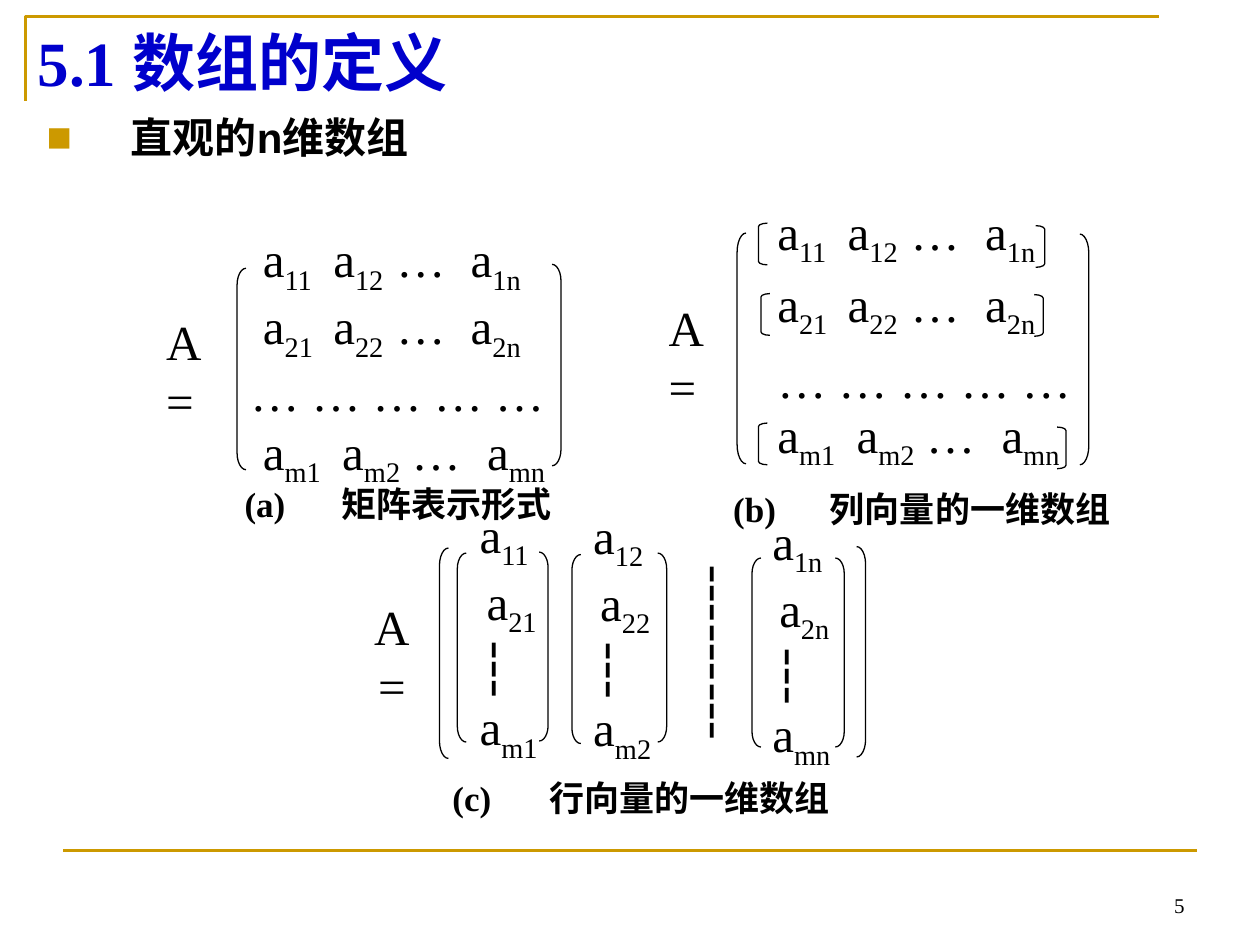
import dataclasses

import pptx
import pptx.dml.color
import pptx.enum.shapes
import pptx.enum.text
import pptx.oxml
import pptx.oxml.ns
import pptx.util

Cm = pptx.util.Cm
SHAPES = pptx.enum.shapes.MSO_SHAPE
ALIGN = pptx.enum.text.PP_ALIGN
ANCHOR = pptx.enum.text.MSO_ANCHOR


@dataclasses.dataclass(frozen=True)
class Theme:
    """Colours, fonts and type sizes of the slide."""
    ink: str = "000000"
    heading: str = "0000CC"
    gold: str = "CC9900"
    serif: str = "Times New Roman"
    sans: str = "Arial"
    title: int = 36
    body: int = 24
    formula: int = 28
    caption: int = 20
    number: int = 12
    rule: float = 1.5
    bracket: float = 0.75


THEME = Theme()
BRACKET_WIDTH = 0.18
ROW_TABS = (1.42, 2.69, 4.19)
LAST_ROW_TABS = (1.6, 3, 4.52)
ELLIPSIS_ROW = "… … … … …"


def rgb(colour):
    """Turn a hex string into a colour."""
    return pptx.dml.color.RGBColor.from_string(colour)


def add_xml(parent, markup):
    """Append a DrawingML element to a parent element."""
    opening = markup.replace(" ", f" {pptx.oxml.ns.nsdecls('a')} ", 1) if " " in markup else (
        markup.replace("/>", f" {pptx.oxml.ns.nsdecls('a')}/>"))
    element = pptx.oxml.parse_xml(opening)
    parent.append(element)
    return element


def add_tabs(paragraph, stops):
    """Give a paragraph left tab stops in centimetres."""
    if stops:
        tab_list = add_xml(paragraph._p.get_or_add_pPr(), "<a:tabLst/>")
        for stop in stops:
            add_xml(tab_list, f'<a:tab pos="{Cm(stop)}" algn="l"/>')


def add_run(paragraph, text, size, font=THEME.serif, bold=False, colour=THEME.ink, sub=False):
    """Add one formatted run, lowered if it is a subscript."""
    run = paragraph.add_run()
    run.text = text
    run.font.size = pptx.util.Pt(size)
    run.font.name = font
    run.font.bold = bold
    run.font.color.rgb = rgb(colour)
    if sub:
        run._r.get_or_add_rPr().set("baseline", "-25000")


def add_frame(slide, left, top, width, height, anchor=ANCHOR.MIDDLE, wrap=True, inset=0.25, right=0.25):
    """Add an empty text box and return its text frame."""
    box = slide.shapes.add_textbox(Cm(left), Cm(top), Cm(width), Cm(height))
    frame = box.text_frame
    frame.word_wrap = wrap
    frame.vertical_anchor = anchor
    frame.margin_left, frame.margin_right = Cm(inset), Cm(right)
    return frame


def add_formula(slide, left, top, width, height, rows, align=ALIGN.LEFT, wrap=True):
    """Add lines of terms, each given as text and its tab stops."""
    frame = add_frame(slide, left, top, width, height, wrap=wrap, right=0 if wrap else 0.25)
    for index, (text, stops) in enumerate(rows):
        line = frame.add_paragraph() if index else frame.paragraphs[0]
        line.alignment = align
        add_tabs(line, stops)
        for position, term in enumerate(text.split("\t")):
            symbol, _, subscript = term.partition("_")
            add_run(line, "\t" * (position > 0) + symbol, THEME.formula)
            if subscript:
                add_run(line, subscript, THEME.formula, sub=True)


def add_bracket(slide, kind, left, top, height):
    """Add one rounded bracket whose corners scale with its height."""
    bracket = slide.shapes.add_shape(kind, Cm(left), Cm(top), Cm(BRACKET_WIDTH), Cm(height))
    bracket.adjustments[0] = 0.083 * height / BRACKET_WIDTH
    bracket.shadow.inherit = False
    bracket.fill.background()
    bracket.line.color.rgb = rgb(THEME.ink)
    bracket.line.width = pptx.util.Pt(THEME.bracket)


def add_brackets(slide, opening, closing, height):
    """Add a pair of brackets at two left-top positions."""
    add_bracket(slide, SHAPES.LEFT_BRACKET, *opening, height)
    add_bracket(slide, SHAPES.RIGHT_BRACKET, *closing, height)


def add_caption(slide, left, top, width, inset, label, parts):
    """Add a bold caption with its label set off by a tab."""
    frame = add_frame(slide, left, top, width, 0.9, inset=inset)
    caption = frame.paragraphs[0]
    add_tabs(caption, [1.95])
    add_run(caption, label + "\t", THEME.caption, bold=True)
    for text, font in parts:
        add_run(caption, text, THEME.caption, font, bold=True)


def add_rules(slide):
    """Draw the corner line at the title and the line at the foot."""
    builder = slide.shapes.build_freeform(Cm(0.51), Cm(2.03))
    builder.add_line_segments([(Cm(0.51), Cm(0.33)), (Cm(23.37), Cm(0.33))], close=False)
    corner = builder.convert_to_shape()
    corner.shadow.inherit = False
    corner.fill.background()
    foot = slide.shapes.add_connector(
        pptx.enum.shapes.MSO_CONNECTOR.STRAIGHT, Cm(1.27), Cm(17.15), Cm(24.13), Cm(17.15))
    add_xml(foot._element.spPr, "<a:effectLst/>")
    for rule in (corner, foot):
        rule.line.color.rgb = rgb(THEME.gold)
        rule.line.width = pptx.util.Pt(THEME.rule)


def add_headings(slide):
    """Add the title, the bulleted topic and the page number."""
    number = add_frame(slide, 18.21, 17.35, 5.92, 1.27, ANCHOR.BOTTOM).paragraphs[0]
    number.alignment = ALIGN.RIGHT
    add_run(number, "5", THEME.number)
    topic = add_frame(slide, 0.69, 2.13, 24, 13, ANCHOR.TOP).paragraphs[0]
    properties = topic._p.get_or_add_pPr()
    properties.set("marL", str(Cm(1.7)))
    properties.set("indent", str(Cm(-1.7)))
    add_xml(properties, f'<a:buClr ><a:srgbClr val="{THEME.gold}"/></a:buClr>')
    add_xml(properties, f'<a:buFont typeface="{THEME.sans}"/>')
    add_xml(properties, '<a:buChar char="■"/>')
    add_run(topic, "直观的n维数组", THEME.body, THEME.sans, bold=True)
    title = add_frame(slide, 0.51, 0.33, 22.86, 1.8).paragraphs[0]
    add_run(title, "5.1 数组的定义", THEME.title, bold=True, colour=THEME.heading)


def matrix_row(index):
    """Write the terms of one matrix row."""
    return f"a_{index}1\ta_{index}2\t…\ta_{index}n"


def add_matrix(slide):
    """Build part (a), the plain matrix."""
    indent = 0.25
    rows = [(ELLIPSIS_ROW, ()) if index is None else
            ("\t" + matrix_row(index), [indent] + [indent + stop for stop in stops])
            for index, stops in ((1, ROW_TABS), (2, ROW_TABS), (None, ()), ("m", LAST_ROW_TABS))]
    add_formula(slide, 4.8, 5.16, 6.3, 4.14, rows)
    add_formula(slide, 3.1, 6.96, 1.35, 1.02, [("A=", ())], wrap=False)
    add_brackets(slide, (4.78, 5.41), (11.13, 5.33), 4.06)
    add_caption(slide, 4.62, 9.7, 6.88, 0.31, "(a)", [("矩阵", THEME.serif), ("表示形式", THEME.sans)])


def add_row_vectors(slide):
    """Build part (b), with each row in its own brackets."""
    add_formula(slide, 15.42, 7.21, 6.3, 0.84, [(ELLIPSIS_ROW, ())])
    add_formula(slide, 13.23, 6.68, 1.35, 1.02, [("A=", ())], wrap=False)
    add_brackets(slide, (14.86, 4.7), (21.77, 4.72), 4.65)
    for index, top, stops, opening, closing in (
            (1, 4.32, ROW_TABS, (15.29, 4.5), (20.88, 4.55)),
            (2, 5.77, ROW_TABS, (15.34, 5.92), (20.85, 5.94)),
            ("m", 8.41, LAST_ROW_TABS, (15.29, 8.53), (21.31, 8.61))):
        add_formula(slide, 15.42, top, 6.3, 0.84, [(matrix_row(index), stops)])
        add_brackets(slide, opening, closing, 0.84)
    add_caption(slide, 14.12, 9.8, 8.99, 0.66, "(b)", [("列向量的一维数组", THEME.serif)])


def add_column_vectors(slide):
    """Build part (c), with each column in its own brackets."""
    for index, left, top, opening, closing in (
            (1, 9.42, 10.62, (9.22, 11.15), (10.87, 11.13)),
            (2, 11.71, 10.64, (11.53, 11.18), (13.26, 11.15)),
            ("n", 15.32, 10.76, (15.16, 11.25), (16.84, 11.25))):
        terms = [(f"a_1{index}", ()), (f"\ta_2{index}", [0.14]), ("┆", ()), (f"a_m{index}", ())]
        add_formula(slide, left, top, 1.52, 4.32, terms)
        add_brackets(slide, opening, closing, 3.81)
    add_formula(slide, 13.72, 11.2, 1.27, 3.81, [("┆", ())] * 3, ALIGN.CENTER, wrap=False)
    add_brackets(slide, (8.86, 11.05), (17.27, 11.02), 4.24)
    add_formula(slide, 7.14, 12.57, 1.52, 1.27, [("A=", ())], ALIGN.CENTER, wrap=False)
    add_caption(slide, 8.46, 15.62, 8.99, 0.66, "(c)", [("行向量的一维数组", THEME.sans)])


def main():
    """Build the slide and save it."""
    deck = pptx.Presentation()
    deck.slide_width, deck.slide_height = Cm(25.4), Cm(19.05)
    slide = deck.slides.add_slide(deck.slide_layouts[6])
    for add_part in (add_rules, add_headings, add_matrix, add_row_vectors, add_column_vectors):
        add_part(slide)
    deck.save("out.pptx")


if __name__ == "__main__":
    main()
